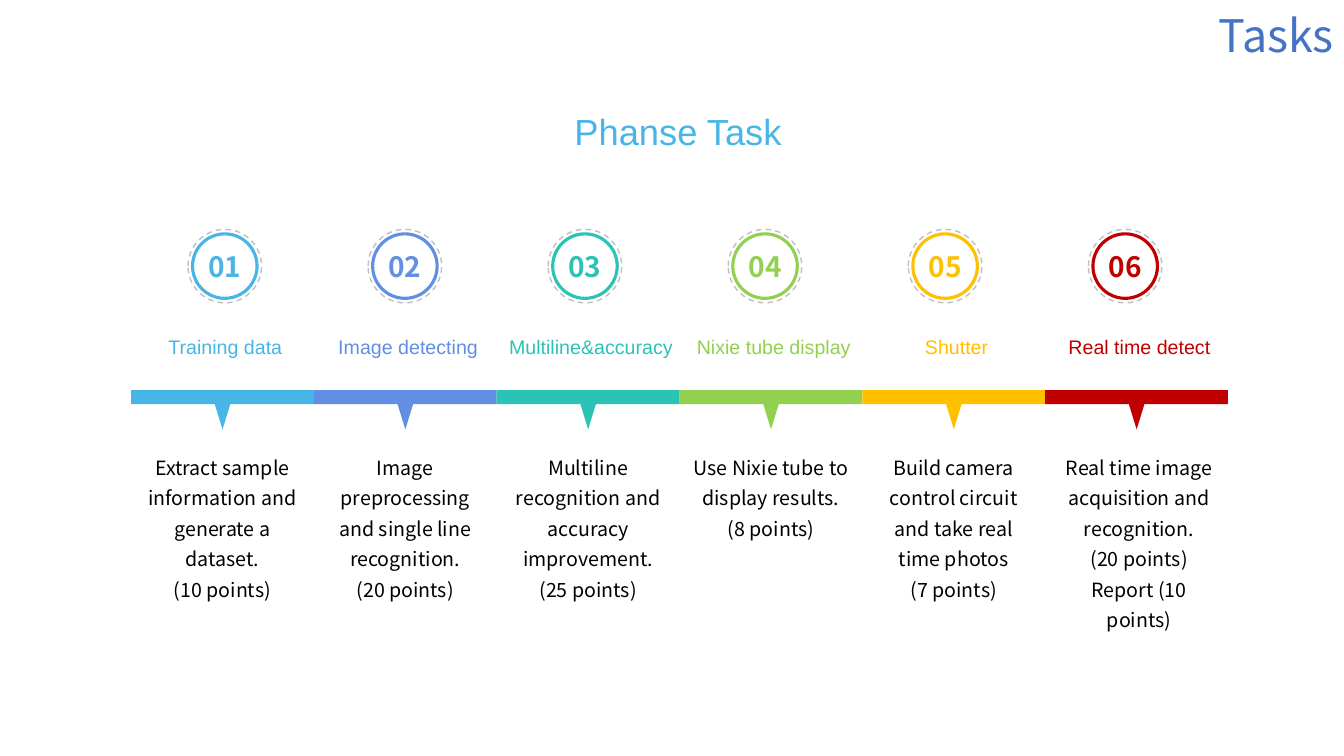
from pptx import Presentation
from pptx.dml.color import RGBColor
from pptx.enum import dml, shapes, text
from pptx.util import Inches, Pt

BLUE = RGBColor(0x47, 0xB6, 0xE7)
PERIWINKLE = RGBColor(0x62, 0x8E, 0xE3)
TEAL = RGBColor(0x2B, 0xC3, 0xB5)
GREEN = RGBColor(0x92, 0xD0, 0x50)
AMBER = RGBColor(0xFF, 0xC0, 0x00)
RED = RGBColor(0xC0, 0x00, 0x00)
GREY = RGBColor(0xBF, 0xBF, 0xBF)
BLACK = RGBColor(0x00, 0x00, 0x00)
HEADING = RGBColor(0x44, 0x72, 0xC4)
SANS = "Arial"
CJK = "Noto Sans CJK SC"
CENTER = text.PP_ALIGN.CENTER

phases = [
    (BLUE, "Training data",
     "Extract sample information and generate a dataset.\n(10 points)"),
    (PERIWINKLE, "Image detecting",
     "Image preprocessing and single line recognition.\n(20 points)"),
    (TEAL, "Multiline&accuracy",
     "Multiline recognition and accuracy improvement.\n(25 points)"),
    (GREEN, "Nixie tube display",
     "Use Nixie tube to display results.\n(8 points)"),
    (AMBER, "Shutter",
     "Build camera control circuit and take real time photos\n(7 points)"),
    (RED, "Real time detect",
     "Real time image acquisition and recognition.\n(20 points)\nReport (10 points)"),
]

deck = Presentation()
deck.slide_width, deck.slide_height = Inches(13.33), Inches(7.5)
slide = deck.slides.add_slide(deck.slide_layouts[6])


def write(shape, words, size, font, color, align=CENTER, spacing=None, bold=False):
    frame = shape.text_frame
    frame.word_wrap = True
    frame.text = words
    for paragraph in frame.paragraphs:
        paragraph.alignment = align
        paragraph.line_spacing = spacing
        for run in paragraph.runs:
            run.font.size = Pt(size)
            run.font.name = font
            run.font.bold = bold
            run.font.color.rgb = color


def draw(kind, left, top, width, height, fill=None, line=None, weight=1):
    shape = slide.shapes.add_shape(
        kind, Inches(left), Inches(top), Inches(width), Inches(height))
    shape.shadow.inherit = False
    for part, color in ((shape.fill, fill), (shape.line.fill, line)):
        if color is None:
            part.background()
        else:
            part.solid()
            part.fore_color.rgb = color
    if line is not None:
        shape.line.width = Pt(weight)
    return shape


timeline_left, timeline_right = 1.3, 12.18
segment = (timeline_right - timeline_left) / len(phases)
first_badge, last_badge = 2.23, 11.16
badge_step = (last_badge - first_badge) / (len(phases) - 1)
badge_size, halo_size, badge_middle = 0.64, 0.73, 2.64
pointer_width = 0.16

for index, (color, label, details) in enumerate(phases):
    left = timeline_left + index * segment
    draw(shapes.MSO_SHAPE.RECTANGLE, left, 3.87, segment, 0.14, fill=color)
    pointer = draw(shapes.MSO_SHAPE.ISOSCELES_TRIANGLE,
                   left + (segment - pointer_width) / 2, 4, pointer_width, 0.26, fill=color)
    pointer.rotation = 180

    name = slide.shapes.add_textbox(Inches(left), Inches(3.2), Inches(1.87), Inches(0.56))
    write(name, label, 14, SANS, color, spacing=1.3)

    center = first_badge + index * badge_step
    badge = draw(shapes.MSO_SHAPE.OVAL, center - badge_size / 2, badge_middle - badge_size / 2,
                 badge_size, badge_size, line=color, weight=2.25)
    badge.text_frame.margin_left = badge.text_frame.margin_right = 0
    badge.text_frame.vertical_anchor = text.MSO_ANCHOR.MIDDLE
    write(badge, f"{index + 1:02d}", 20, CJK, color, bold=True)
    halo = draw(shapes.MSO_SHAPE.OVAL, center - halo_size / 2, badge_middle - halo_size / 2,
                halo_size, halo_size, line=GREY)
    halo.line.dash_style = dml.MSO_LINE.DASH

    inset = 0.05 if index == len(phases) - 1 else 0
    description = slide.shapes.add_textbox(
        Inches(left + inset), Inches(4.4), Inches(segment - inset), Inches(2.05))
    write(description, details, 14, CJK, BLACK, spacing=1.3)

subtitle = slide.shapes.add_textbox(Inches(2.58), Inches(0.95), Inches(8.29), Inches(0.65))
write(subtitle, "Phanse Task", 25.9, SANS, BLUE, spacing=1.2)

title = slide.shapes.add_textbox(Inches(9.15), Inches(0.03), Inches(4.18), Inches(0.64))
write(title, "Tasks", 32, CJK, HEADING, align=text.PP_ALIGN.RIGHT)

deck.save("out.pptx")
